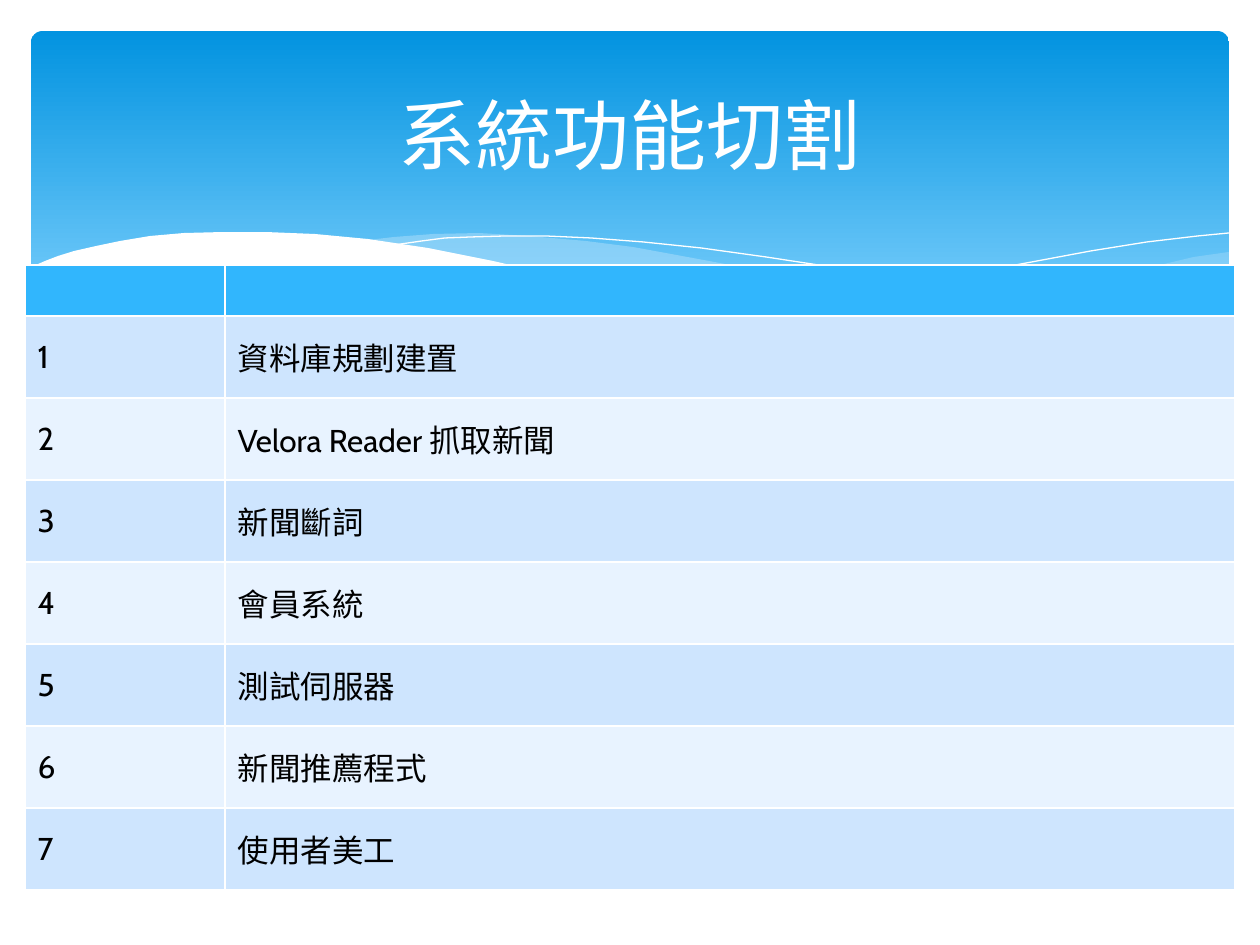
from lxml import etree
from pptx import Presentation
from pptx.dml.color import RGBColor
from pptx.enum.shapes import MSO_SHAPE
from pptx.enum.text import MSO_ANCHOR, PP_ALIGN
from pptx.oxml.ns import qn
from pptx.util import Pt

PX = 914400 / 126
ROUNDED = MSO_SHAPE.ROUNDED_RECTANGLE
MIDDLE = MSO_ANCHOR.MIDDLE
CENTER = PP_ALIGN.CENTER

FONT = "Cabin"
WHITE = "FFFFFF"
BLACK = "000000"
PALE_BLUE = "C6E7FC"
HEADER_BLUE = "31B6FD"
BANDS = ("CEE5FE", "E8F3FF")

FUNCTIONS = [
    "資料庫規劃建置",
    "Velora Reader 抓取新聞",
    "新聞斷詞",
    "會員系統",
    "測試伺服器",
    "新聞推薦程式",
    "使用者美工",
]

RIGHT_WAVE = [
    (1229, 252), (1194, 257), (1160, 265), (1123, 272), (1085, 281), (1014, 299),
    (949, 312), (890, 324), (833, 334), (888, 341), (954, 348), (1012, 350),
    (1063, 349), (1110, 344), (1150, 336), (1187, 326), (1229, 311),
]
MIDDLE_WAVE = [
    (1125, 344), (1055, 334), (977, 320), (890, 302), (793, 280), (736, 266),
    (682, 256), (633, 247), (586, 241), (529, 236), (479, 233), (433, 234),
    (394, 237), (360, 241), (407, 247), (456, 256), (509, 266), (566, 280),
    (668, 302), (757, 321), (838, 335), (910, 345), (974, 349), (1031, 350),
    (1080, 349),
]
LEFT_CURVE = [
    (389, 246), (401, 244), (422, 241), (445, 238), (471, 237), (505, 236),
    (546, 236), (591, 238), (643, 242), (701, 248), (766, 257), (838, 268),
    (916, 285), (1002, 304), (1095, 329), (1143, 343),
]
RIGHT_CURVE = [
    (772, 324), (823, 310), (876, 296), (942, 281), (1016, 265), (1091, 251),
    (1147, 242), (1198, 236), (1229, 233),
]
WHITE_WAVE = [
    (1231, 310), (1197, 323), (1159, 334), (1118, 341), (1071, 347), (1019, 349),
    (959, 347), (892, 340), (816, 330), (730, 315), (634, 294), (563, 277),
    (493, 261), (428, 248), (368, 239), (315, 234), (266, 232), (223, 232),
    (184, 233), (150, 236), (120, 241), (96, 246), (74, 251), (58, 256),
    (45, 261), (29, 268), (29, 415), (1231, 415),
]


def px(length):
    return round(length * PX)


def color(hex_code):
    return RGBColor.from_string(hex_code)


def paint(fill, hex_code):
    fill.solid()
    fill.fore_color.rgb = color(hex_code)


def style(para, size, hex_code):
    para.font.name = FONT
    para.font.size = Pt(size)
    para.font.color.rgb = color(hex_code)


def add_banner(page):
    banner = page.shapes.add_shape(ROUNDED, px(31), px(31), px(1198), px(340))
    banner.adjustments[0] = 0.034
    banner.shadow.inherit = False
    banner.line.fill.background()
    banner.fill.gradient()
    banner.fill.gradient_angle = 270
    stops = ((0, "0293E0"), (0.9, "83D3FE"))
    for stop, (position, hex_code) in zip(banner.fill.gradient_stops, stops):
        stop.position = position
        stop.color.rgb = color(hex_code)


def draw_outline(page, points, close):
    builder = page.shapes.build_freeform(*points[0], scale=PX)
    builder.add_line_segments(points[1:], close=close)
    shape = builder.convert_to_shape()
    shape.shadow.inherit = False
    return shape


def add_wave(page, points, hex_code, opacity=100):
    wave = draw_outline(page, points, True)
    wave.line.fill.background()
    paint(wave.fill, hex_code)
    if opacity < 100:
        fill_color = wave.fill._xPr.find(qn("a:solidFill"))[0]
        etree.SubElement(fill_color, qn("a:alpha"), val=str(opacity * 1000))


def add_curve(page, points):
    curve = draw_outline(page, points, False)
    curve.fill.background()
    paint(curve.line.fill, WHITE)
    curve.line.width = Pt(0)


def fill_cell(cell, text, fill, text_color):
    paint(cell.fill, fill)
    cell.vertical_anchor = MIDDLE
    cell.text = text
    style(cell.text_frame.paragraphs[0], 18, text_color)


def add_function_table(page):
    """Numbered list of functions under an empty header row."""
    heights = [49] + [82] * len(FUNCTIONS)
    widths = (200, 1010)
    table = page.shapes.add_table(len(heights), len(widths), px(25), px(265),
                                  px(sum(widths)), px(sum(heights))).table
    for column, width in zip(table.columns, widths):
        column.width = px(width)
    for row, height in zip(table.rows, heights):
        row.height = px(height)
    for cell in table.rows[0].cells:
        fill_cell(cell, "", HEADER_BLUE, WHITE)
    for number, name in enumerate(FUNCTIONS, 1):
        band = BANDS[(number - 1) % 2]
        for cell, text in zip(table.rows[number].cells, (str(number), name)):
            fill_cell(cell, text, band, BLACK)


def set_title(page, text):
    title = page.shapes.title
    title.left, title.top, title.width, title.height = map(px, (63, 47, 1134, 173))
    title.text_frame.text = text
    title.text_frame.vertical_anchor = MIDDLE
    para = title.text_frame.paragraphs[0]
    para.alignment = CENTER
    style(para, 44, WHITE)
    page.shapes._spTree.append(title._element)  # bring in front of the banner


def main():
    deck = Presentation()
    deck.slide_width, deck.slide_height = px(1260), px(945)
    page = deck.slides.add_slide(deck.slide_layouts[5])
    add_banner(page)
    add_wave(page, RIGHT_WAVE, PALE_BLUE, 29)
    add_wave(page, MIDDLE_WAVE, PALE_BLUE, 40)
    add_curve(page, LEFT_CURVE)
    add_curve(page, RIGHT_CURVE)
    add_wave(page, WHITE_WAVE, WHITE)
    add_function_table(page)
    set_title(page, "系統功能切割")
    deck.save("out.pptx")


if __name__ == "__main__":
    main()
